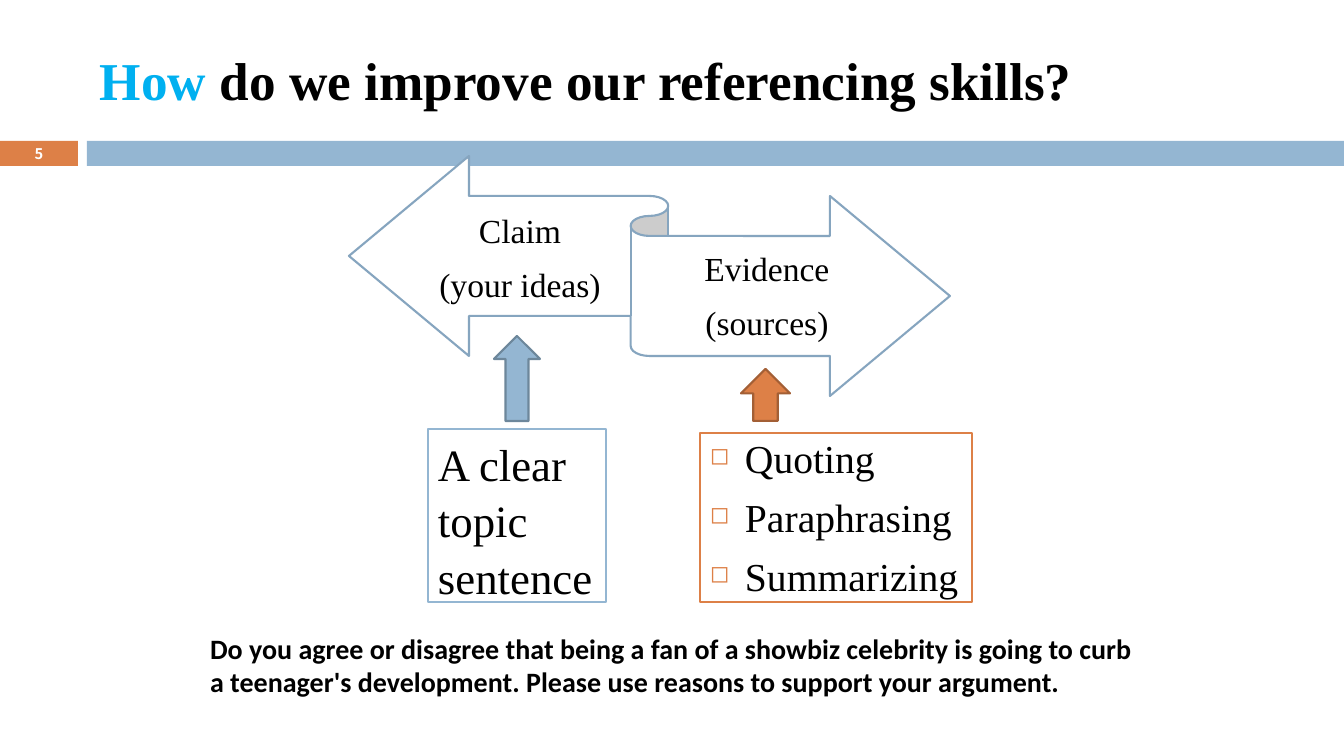
from lxml.etree import SubElement
from pptx import Presentation
from pptx.dml.color import RGBColor
from pptx.enum.shapes import MSO_SHAPE
from pptx.enum.text import MSO_ANCHOR, PP_ALIGN
from pptx.oxml.ns import qn
from pptx.util import Pt

EMU_PER_PX = 914400 / 100.8
SERIF = "Times New Roman"
BLUE, ORANGE, WHITE, BLACK, CYAN = "94B6D2", "DD8047", "FFFFFF", "000000", "00B0F0"


def px(length):
    return round(length * EMU_PER_PX)


def color(value):
    return RGBColor.from_string(value)


def add_box(slide, box, kind=MSO_SHAPE.RECTANGLE, fill=WHITE, line=None):
    shape = slide.shapes.add_shape(kind, *map(px, box))
    shape.shadow.inherit = False
    shape.fill.solid()
    shape.fill.fore_color.rgb = color(fill)
    if line:
        shape.line.color.rgb = color(line)
        shape.line.width = Pt(1.5)
    else:
        shape.line.fill.background()
    return shape


def add_label(slide, box):
    return slide.shapes.add_textbox(*map(px, box))


def add_bullet(paragraph, symbol, tint):
    properties = paragraph._p.get_or_add_pPr()
    properties.set("marL", str(px(35)))
    properties.set("indent", str(px(-35)))
    bullet_color = SubElement(properties, qn("a:buClr"))
    SubElement(bullet_color, qn("a:srgbClr"), val=tint)
    SubElement(properties, qn("a:buSzPct"), val="60000")
    SubElement(properties, qn("a:buChar"), char=symbol)


def write(shape, text, size, font=SERIF, ink=BLACK, bold=False, align=PP_ALIGN.LEFT,
          anchor=MSO_ANCHOR.TOP, before=0, after=0, spacing=1.0,
          insets=(10, 5, 10, 5), accent="", accent_ink=CYAN, bullet=None):
    frame = shape.text_frame
    frame.word_wrap = True
    frame.vertical_anchor = anchor
    frame.margin_left, frame.margin_top, frame.margin_right, frame.margin_bottom = map(px, insets)
    for index, sentence in enumerate(text.split("\n")):
        paragraph = frame.add_paragraph() if index else frame.paragraphs[0]
        paragraph.alignment = align
        paragraph.space_before, paragraph.space_after = Pt(before), Pt(after)
        paragraph.line_spacing = spacing
        if bullet:
            add_bullet(paragraph, bullet, ORANGE)
        for words, tint in ((accent, accent_ink), (sentence, ink)):
            if words:
                run = paragraph.add_run()
                run.text = words
                run.font.name = font
                run.font.size = Pt(size)
                run.font.bold = bold
                run.font.color.rgb = color(tint)


def build_header(slide, box):
    left, top, width, height = box
    band_top, band_height, number_width, gap = top + 141, 25, 78, 9
    band_left = left + number_width + gap
    page_number = add_box(slide, (left, band_top, number_width, band_height), fill=ORANGE)
    add_box(slide, (band_left, band_top, width - band_left, band_height), fill=BLUE)
    write(page_number, "5", 10.5, font="Noto Sans CJK SC", ink=WHITE, bold=True,
          align=PP_ALIGN.CENTER, anchor=MSO_ANCHOR.MIDDLE, insets=(0, 0, 0, 0))
    title = add_label(slide, (left + 90, top + 25, 1198, 109))
    write(title, " do we improve our referencing skills?", 38, bold=True,
          anchor=MSO_ANCHOR.MIDDLE, accent="How")


def build_ribbon(slide, box):
    left, top, width, height = box
    add_box(slide, box, MSO_SHAPE.LEFT_RIGHT_RIBBON, line="86A5BF")
    sides = (("Claim\n(your ideas)", 72, 42, 198), ("Evidence\n(sources)", 301, 80, 234))
    for words, x, y, label_width in sides:
        label = add_label(slide, (left + x, top + y, label_width, 118))
        write(label, words, 24, align=PP_ALIGN.CENTER, anchor=MSO_ANCHOR.MIDDLE,
              after=8.4, spacing=1.03, insets=(0, 9, 0, 10))


def build_support(slide, box):
    left, top, width, height = box
    bottom = top + height
    add_box(slide, (left + 66, top, 46, 85), MSO_SHAPE.UP_ARROW, BLUE, "6D879B")
    add_box(slide, (left + 313, top + 33, 49, 52), MSO_SHAPE.UP_ARROW, ORANGE, "A35F35")
    topic = add_box(slide, (left, bottom - 173, 178, 173), line=BLUE)
    write(topic, "A clear topic sentence", 32, spacing=1.05)
    methods = add_box(slide, (left + width - 272, bottom - 169, 272, 169), line=ORANGE)
    write(methods, "Quoting\nParaphrasing\nSummarizing", 28.3, before=7, spacing=1.03,
          insets=(10, 0, 0, 0), bullet="◻")


def build_question(slide, box):
    question = add_label(slide, box)
    write(question, "Do you agree or disagree that being a fan of a showbiz celebrity is going "
          "to curb a teenager's development. Please use reasons to support your argument.",
          20, font="Calibri", bold=True)


def main():
    deck = Presentation()
    deck.slide_width, deck.slide_height = px(1344), px(756)
    slide = deck.slides.add_slide(deck.slide_layouts[6])
    build_header(slide, (0, 0, 1344, 166))
    build_ribbon(slide, (349, 156, 601, 240))
    build_support(slide, (428, 336, 544, 266))
    build_question(slide, (200, 626, 944, 78))
    deck.save("out.pptx")


if __name__ == "__main__":
    main()
